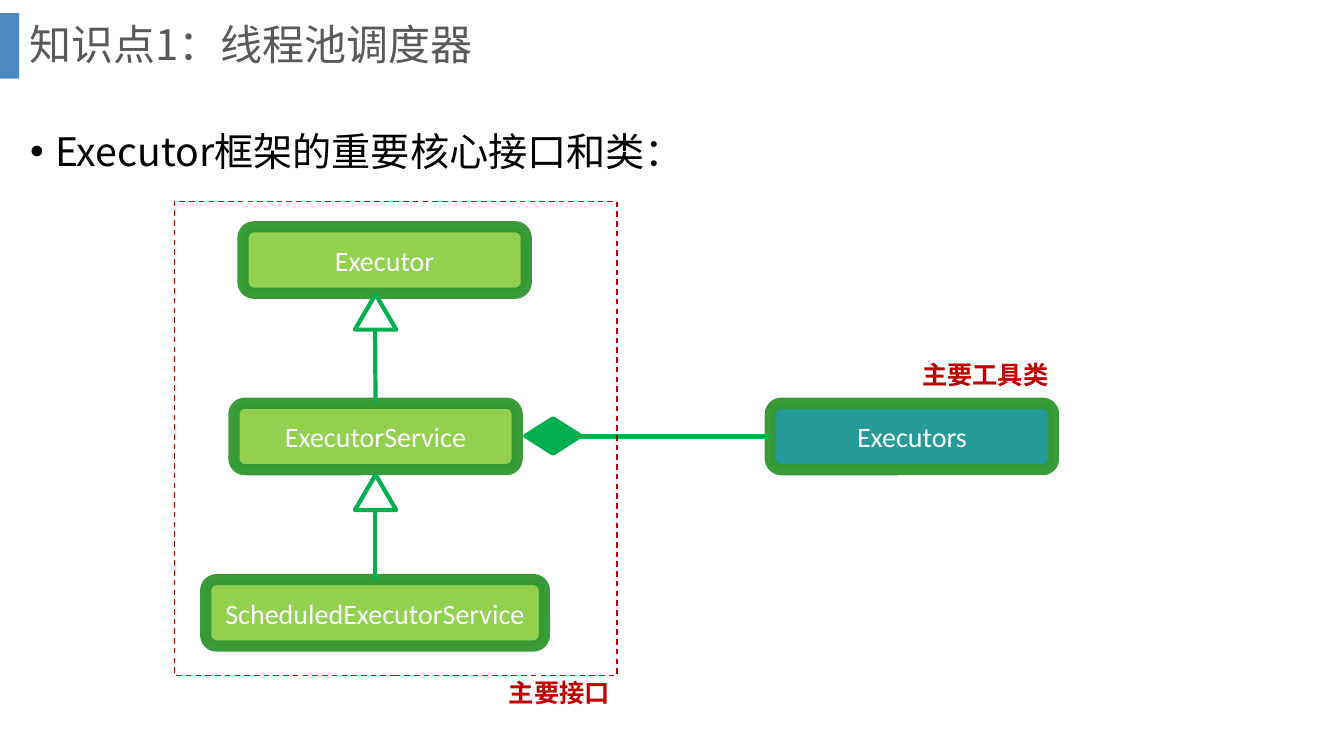
import pptx
import pptx.dml.color
import pptx.enum.dml
import pptx.enum.shapes
import pptx.enum.text
import pptx.oxml
import pptx.oxml.ns
import pptx.util
from pptx.util import Inches

COLORS = {"accent": "2E75B6", "title": "595959", "body": "000000",
          "interface": "92D050", "utility": "269999", "border": "339933",
          "relation": "00B050", "label": "C00000", "white": "FFFFFF"}
LATIN, CJK = "Calibri", "Noto Sans CJK SC"
SHAPES = pptx.enum.shapes.MSO_SHAPE
qn = pptx.oxml.ns.qn


def rgb(color):
    return pptx.dml.color.RGBColor.from_string(COLORS[color])


def set_alpha(fill_format_parent, percent):
    for color in fill_format_parent.iter(qn("a:srgbClr")):
        alpha = color.makeelement(qn("a:alpha"), {"val": str(percent * 1000)})
        color.append(alpha)


def write(shape, text, font, size, color, bold=False, **frame_format):
    """Fill a shape's single paragraph and return that paragraph."""
    frame = shape.text_frame
    for name, value in {"word_wrap": True, **frame_format}.items():
        setattr(frame, name, value)
    paragraph = frame.paragraphs[0]
    run = paragraph.add_run()
    run.text = text
    for name, value in {"name": font, "size": pptx.util.Pt(size), "bold": bold}.items():
        setattr(run.font, name, value)
    run.font.color.rgb = rgb(color)
    east_asian = run.font._element.makeelement(qn("a:ea"), {"typeface": font})
    run.font._element.find(qn("a:latin")).addnext(east_asian)
    return paragraph


def add_text(slide, box, text, size, color, **text_format):
    textbox = slide.shapes.add_textbox(*map(Inches, box))
    return write(textbox, text, CJK, size, color, **text_format)


def add_figure(slide, kind, box, fill=None, line=None, width=3):
    figure = slide.shapes.add_shape(kind, *map(Inches, box))
    figure.shadow.inherit = False
    if fill:
        figure.fill.solid()
        figure.fill.fore_color.rgb = rgb(fill)
    else:
        figure.fill.background()
    if line:
        figure.line.color.rgb = rgb(line)
        figure.line.width = pptx.util.Pt(width)
    else:
        figure.line.fill.background()
    return figure


def add_type_box(slide, name, left, top, width, fill):
    box = add_figure(slide, SHAPES.ROUNDED_RECTANGLE, (left, top, width, 0.66),
                     fill, "border", 8)
    set_alpha(box.line._ln, 96)
    paragraph = write(box, name, LATIN, 20, "white", word_wrap=False,
                      vertical_anchor=pptx.enum.text.MSO_ANCHOR.MIDDLE)
    paragraph.alignment = pptx.enum.text.PP_ALIGN.CENTER
    return box


def add_relation(slide, start, target, side):
    """Draw a line from a point to the middle of a side of the target."""
    relation = slide.shapes.add_connector(
        pptx.enum.shapes.MSO_CONNECTOR.STRAIGHT, *map(Inches, start + start))
    relation.end_connect(target, side)
    relation.line.color.rgb = rgb("relation")
    relation.line.width = pptx.util.Pt(3)
    properties = relation._element.spPr
    properties.append(properties.makeelement(qn("a:effectLst"), {}))


def add_inheritance(slide, top, subtype):
    """Draw a hollow arrowhead with its line down to the subtype."""
    add_figure(slide, SHAPES.ISOSCELES_TRIANGLE, (3.52, top, 0.41, 0.35), line="relation")
    add_relation(slide, (3.72, top + 0.35), subtype, 0)


def add_heading(slide):
    marker = add_figure(slide, SHAPES.RECTANGLE, (0, 0.13, 0.19, 0.65), "accent")
    set_alpha(marker._element.spPr, 85)
    title = add_text(slide, (0.19, 0, 12.66, 0.93), "知识点1：线程池调度器", 30, "title",
                     vertical_anchor=pptx.enum.text.MSO_ANCHOR.MIDDLE)
    title.line_spacing = 0.9


def add_topic(slide):
    topic = add_text(slide, (0.2, 0.98, 12.9, 5.96), "Executor框架的重要核心接口和类：",
                     28, "body")
    topic.line_spacing = 1.5
    properties = topic._p.get_or_add_pPr()
    for name, value in {"marL": Inches(0.25), "indent": -Inches(0.25)}.items():
        properties.set(name, str(value))
    for tag, value in {"buFont": {"typeface": "Arial"}, "buChar": {"char": "•"}}.items():
        properties.append(properties.makeelement(qn("a:" + tag), value))


def add_diagram(slide):
    add_type_box(slide, "Executor", 2.41, 2.25, 2.81, "interface")
    service = add_type_box(slide, "ExecutorService", 2.32, 4, 2.81, "interface")
    scheduled = add_type_box(slide, "ScheduledExecutorService", 2.04, 5.75, 3.36, "interface")
    executors = add_type_box(slide, "Executors", 7.64, 4, 2.81, "utility")

    add_inheritance(slide, 2.92, service)
    add_inheritance(slide, 4.71, scheduled)
    add_relation(slide, (5.64, 4.33), executors, 1)
    add_figure(slide, SHAPES.DIAMOND, (5.21, 4.15, 0.55, 0.35), "relation", "relation")

    interfaces = add_figure(slide, SHAPES.RECTANGLE, (1.73, 2, 4.39, 4.7),
                            line="label", width=1)
    interfaces.line.dash_style = pptx.enum.dml.MSO_LINE.DASH
    for text, left, top in (("主要接口", 4.95, 6.67), ("主要工具类", 9.05, 3.52)):
        add_text(slide, (left, top, 1.57, 0.4), text, 18, "label", bold=True)


def main():
    presentation = pptx.Presentation()
    presentation.slide_width = Inches(13.33)
    presentation.slide_height = Inches(7.5)
    slide = presentation.slides.add_slide(presentation.slide_layouts[6])
    add_heading(slide)
    add_topic(slide)
    add_diagram(slide)
    presentation.save("out.pptx")


if __name__ == "__main__":
    main()
